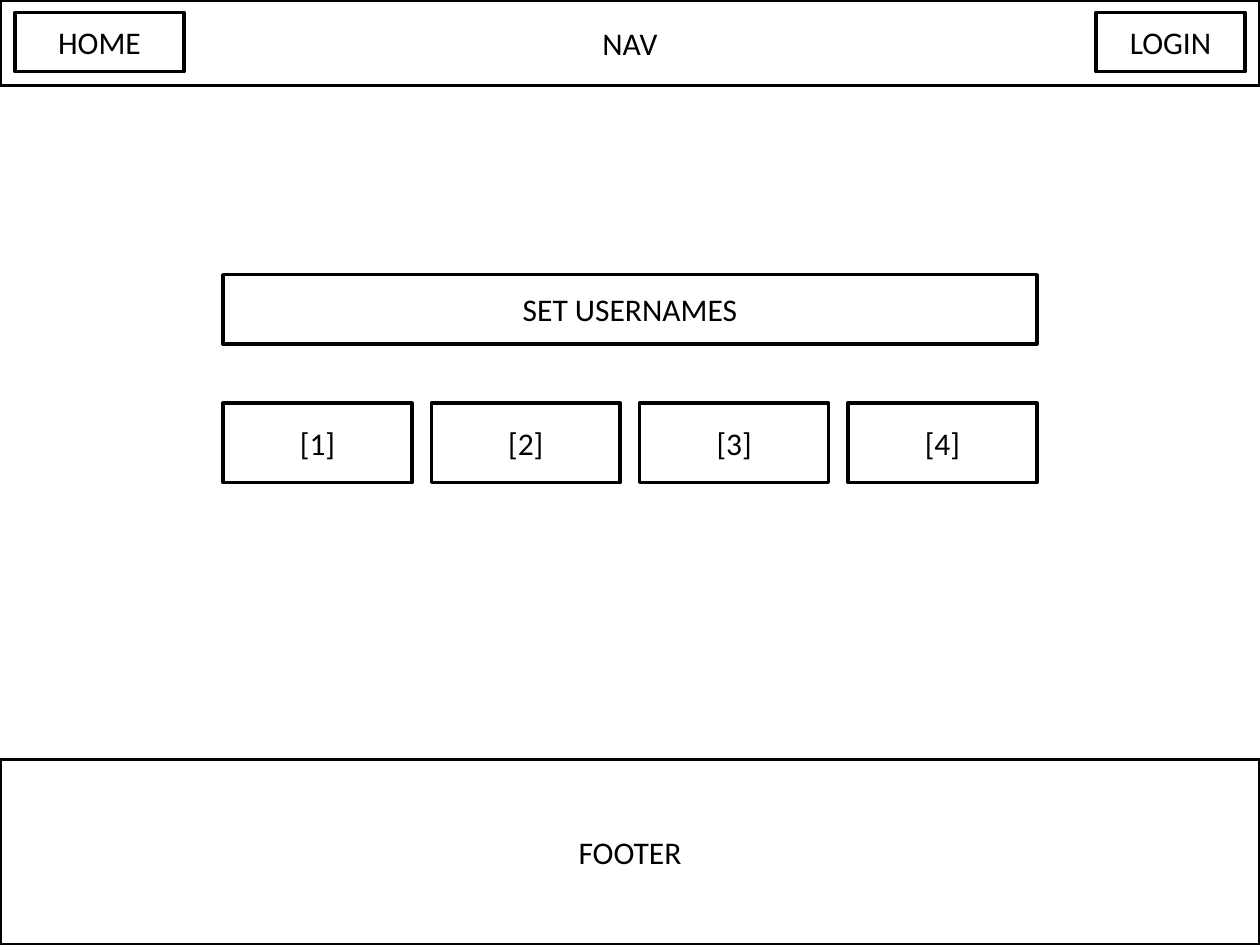
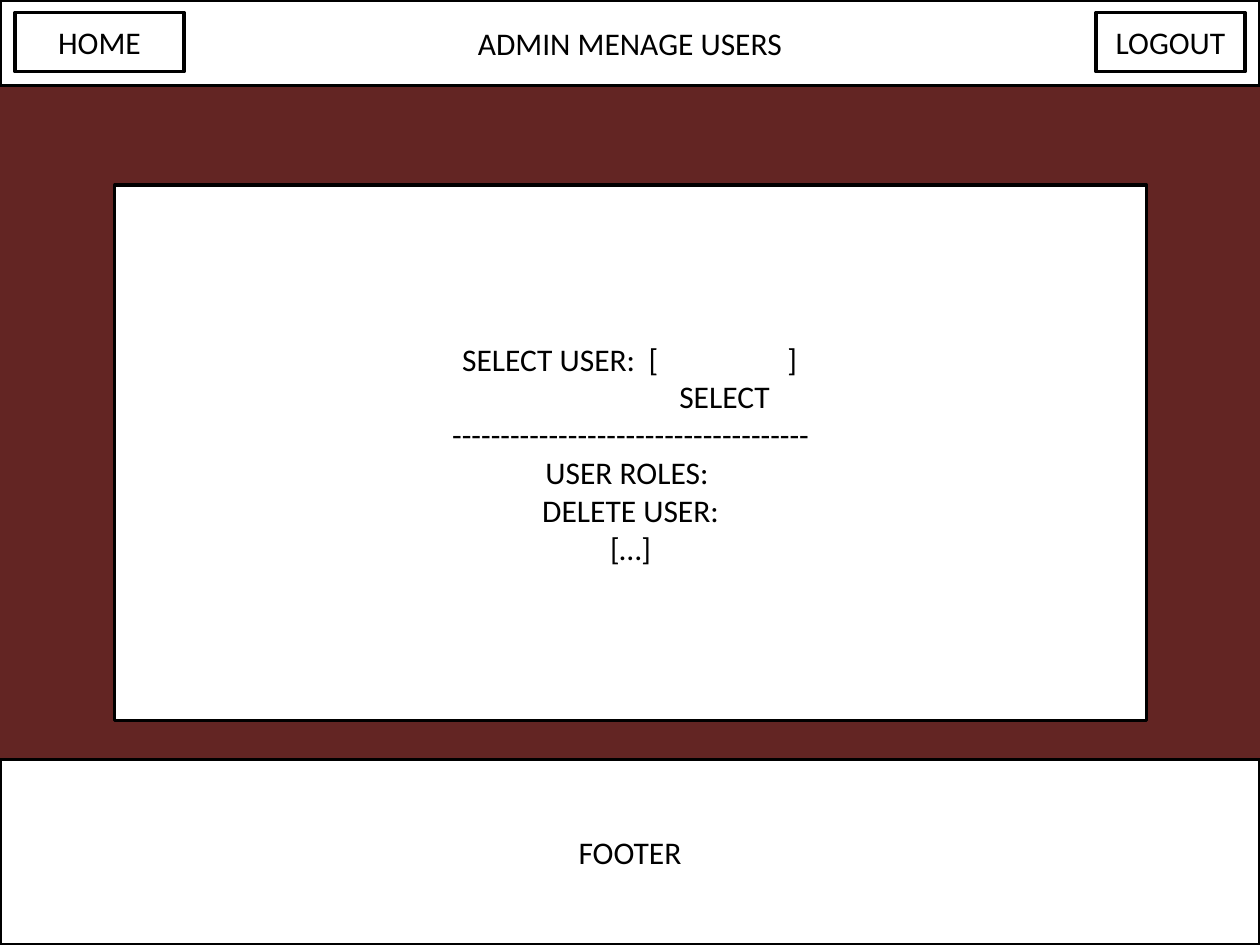
from dataclasses import dataclass

import pptx
import pptx.dml.color
import pptx.enum.shapes
import pptx.enum.text
import pptx.oxml
import pptx.oxml.ns
import pptx.slide
import pptx.text.text
import pptx.util

Inches = pptx.util.Inches
CENTER = pptx.enum.text.PP_ALIGN.CENTER
LEFT = pptx.enum.text.PP_ALIGN.LEFT

COLORS = {"paper": "FFFFFF", "ink": "000000", "admin": "632523"}
FONT = {"name": "Calibri", "size": pptx.util.Pt(18)}
FRAME = {"word_wrap": True, "vertical_anchor": pptx.enum.text.MSO_ANCHOR.MIDDLE}

SLIDE_WIDTH, SLIDE_HEIGHT = 10, 7.5
FOOTER_TOP = 6.03
FORM_LEFT, FORM_WIDTH = 1.77, 6.46
USERNAME_COUNT, USERNAME_WIDTH = 4, 1.5


@dataclass(frozen=True)
class Line:
    text: str
    indent: float = 0
    tab_stops: tuple[float, ...] = ()


@dataclass(frozen=True)
class Box:
    left: float
    top: float
    width: float
    height: float
    lines: tuple[Line, ...]


@dataclass(frozen=True)
class Page:
    title: str
    account_action: str
    background: str
    content: tuple[Box, ...]


def rgb(name: str) -> pptx.dml.color.RGBColor:
    return pptx.dml.color.RGBColor.from_string(COLORS[name])


def label(left: float, top: float, width: float, height: float, text: str) -> Box:
    """Describe a box that holds a single line."""
    return Box(left, top, width, height, (Line(text),))


def write_line(paragraph: pptx.text.text._Paragraph, line: Line) -> None:
    """Write a centred line, or a left-aligned one when it has tab stops."""
    paragraph.alignment = LEFT if line.tab_stops else CENTER
    properties = paragraph._p.get_or_add_pPr()
    if line.indent:
        properties.set("marL", str(Inches(line.indent)))
    if line.tab_stops:
        stops = pptx.oxml.parse_xml(f"<a:tabLst {pptx.oxml.ns.nsdecls('a')}/>")
        for position in line.tab_stops:
            stop = stops.makeelement(pptx.oxml.ns.qn("a:tab"), {"pos": str(Inches(position)), "algn": "l"})
            stops.append(stop)
        properties.append(stops)
    run = paragraph.add_run()
    run.text = line.text
    for name, value in FONT.items():
        setattr(run.font, name, value)
    run.font.color.rgb = rgb("ink")


def draw_box(slide: pptx.slide.Slide, box: Box) -> None:
    shape = slide.shapes.add_shape(
        pptx.enum.shapes.MSO_SHAPE.RECTANGLE,
        Inches(box.left), Inches(box.top), Inches(box.width), Inches(box.height),
    )
    shape.shadow.inherit = False
    shape.fill.solid()
    shape.fill.fore_color.rgb = rgb("paper")
    shape.line.color.rgb = rgb("ink")
    shape.line.width = pptx.util.Pt(2)
    frame = shape.text_frame
    for name, value in FRAME.items():
        setattr(frame, name, value)
    for index, line in enumerate(box.lines):
        write_line(frame.add_paragraph() if index else frame.paragraphs[0], line)


def draw_page(presentation: pptx.presentation.Presentation, page: Page) -> None:
    slide = presentation.slides.add_slide(presentation.slide_layouts[6])
    slide.background.fill.solid()
    slide.background.fill.fore_color.rgb = rgb(page.background)
    shared = (
        label(0, 0, SLIDE_WIDTH, 0.68, page.title),
        label(8.7, 0.1, 1.18, 0.47, page.account_action),
        label(0.12, 0.1, 1.34, 0.47, "HOME"),
        label(0, FOOTER_TOP, SLIDE_WIDTH, SLIDE_HEIGHT - FOOTER_TOP, "FOOTER"),
    )
    for box in shared + page.content:
        draw_box(slide, box)


def username_boxes() -> tuple[Box, ...]:
    """Spread the numbered boxes evenly over the width of the form."""
    step = (FORM_WIDTH - USERNAME_WIDTH) / (USERNAME_COUNT - 1)
    return tuple(
        label(FORM_LEFT + index * step, 3.2, USERNAME_WIDTH, 0.63, f"[{index + 1}]")
        for index in range(USERNAME_COUNT)
    )


USER_PANEL = Box(0.91, 1.47, 8.19, 4.25, (
    Line("\tSELECT USER:\t[\t]", tab_stops=(2.66, 4.14, 5.24)),
    Line("SELECT", indent=1.49),
    Line("-" * 37),
    Line("USER ROLES: "),
    Line("DELETE USER:"),
    Line("[…]"),
))

PAGES = (
    Page("NAV", "LOGIN", "paper",
         (label(FORM_LEFT, 2.18, FORM_WIDTH, 0.55, "SET USERNAMES"), *username_boxes())),
    Page("ADMIN MENAGE USERS", "LOGOUT", "admin", (USER_PANEL,)),
)


def main() -> None:
    presentation = pptx.Presentation()
    presentation.slide_width = Inches(SLIDE_WIDTH)
    presentation.slide_height = Inches(SLIDE_HEIGHT)
    for page in PAGES:
        draw_page(presentation, page)
    presentation.save("out.pptx")


if __name__ == "__main__":
    main()
